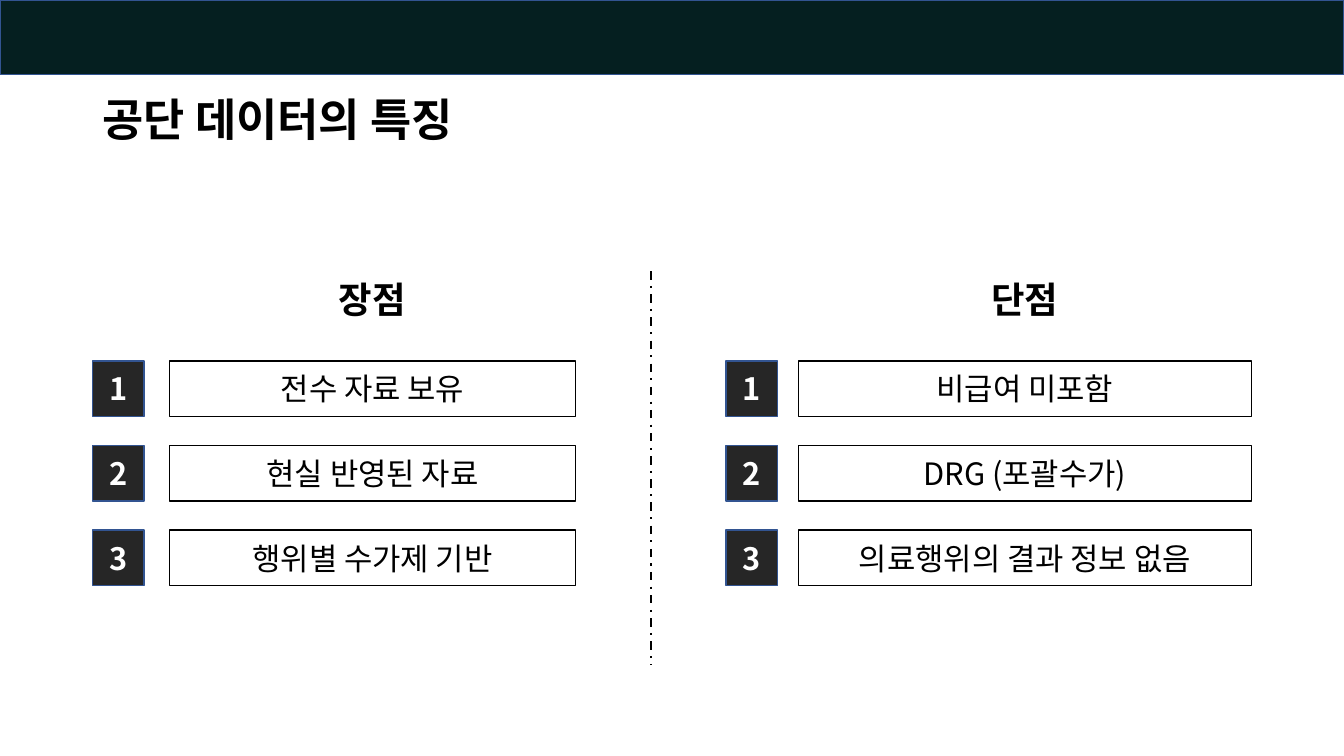
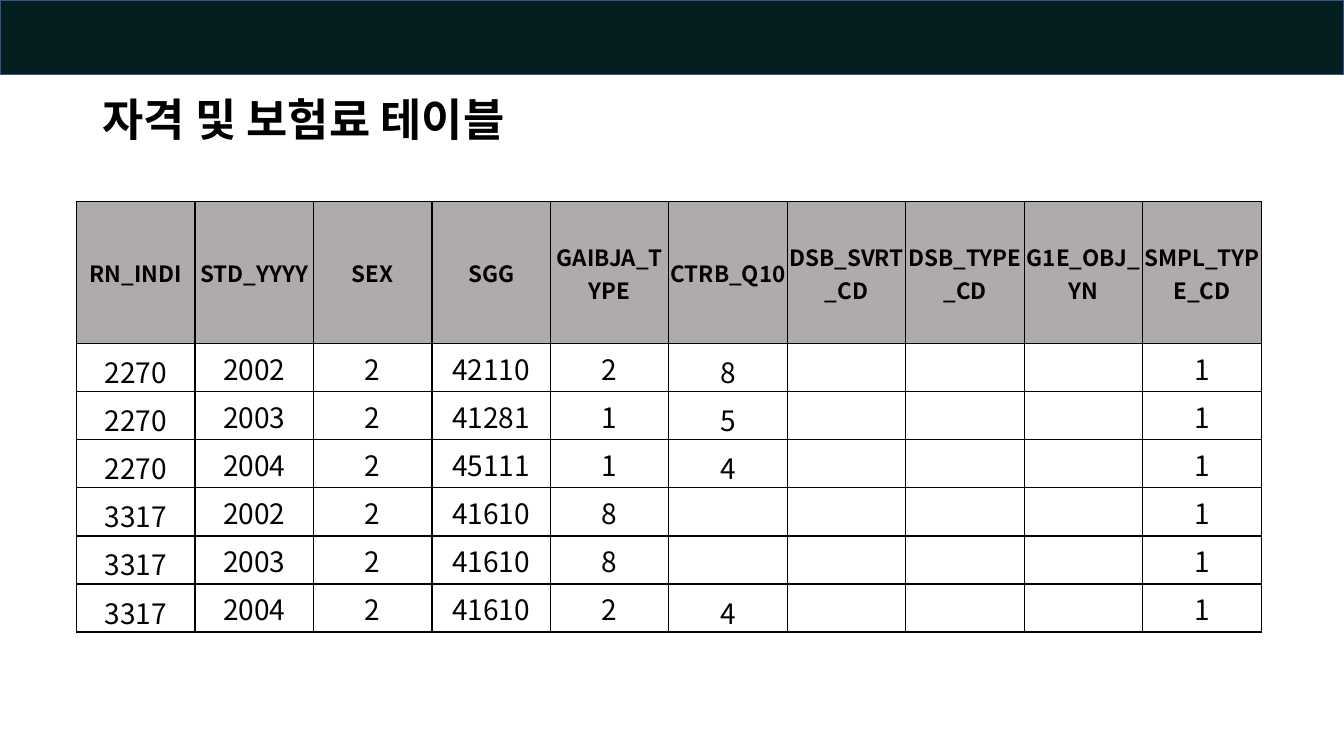
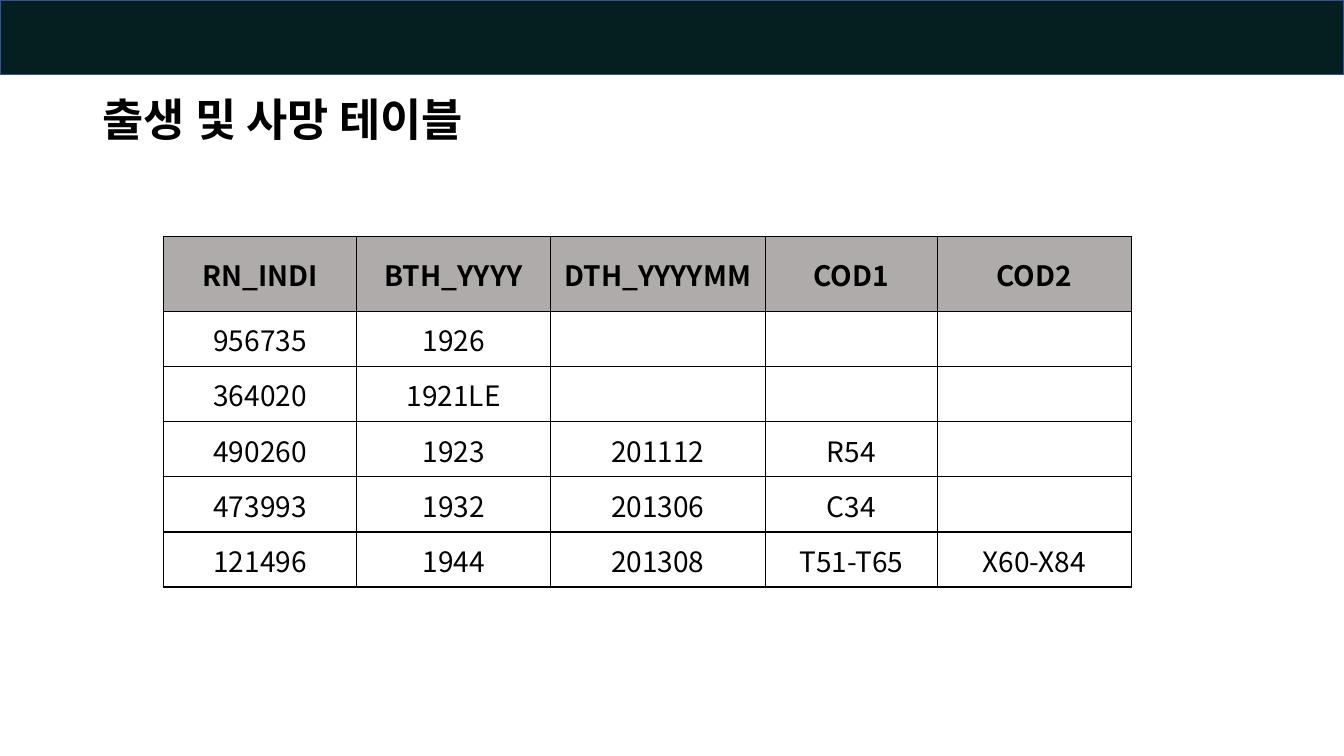
from dataclasses import dataclass
from typing import Any

from lxml import etree
from pptx import Presentation
from pptx.dml.color import RGBColor
from pptx.enum.dml import MSO_LINE
from pptx.enum.shapes import MSO_CONNECTOR, MSO_SHAPE
from pptx.enum.text import MSO_ANCHOR, PP_ALIGN
from pptx.oxml.ns import qn
from pptx.util import Inches, Pt

RECTANGLE = MSO_SHAPE.RECTANGLE
STRAIGHT = MSO_CONNECTOR.STRAIGHT
DASH_DOT = MSO_LINE.DASH_DOT
LEFT, CENTER = PP_ALIGN.LEFT, PP_ALIGN.CENTER
MIDDLE, BOTTOM = MSO_ANCHOR.MIDDLE, MSO_ANCHOR.BOTTOM

SLIDE_WIDTH, SLIDE_HEIGHT = 13.33, 7.5
BLANK_LAYOUT = 6
FONT = "Noto Sans CJK KR"
COLORS = {
    "band": "051F20",
    "outline": "325491",
    "badge": "262626",
    "header": "AFABAB",
    "ink": "000000",
    "paper": "FFFFFF",
}
CELL_MARGINS = {"margin_left": Inches(0.01), "margin_right": Inches(0.01),
                "margin_top": Inches(0.01), "margin_bottom": 0}

# Grid of the comparison slide
ROW_TOP, ROW_STEP, ROW_HEIGHT = 3.58, 0.84, 0.55
HEADING_TOP, DIVIDER_X, DIVIDER_BOTTOM = 2.69, 6.46, 6.6
BADGE_WIDTH = 0.51


@dataclass(frozen=True)
class Box:
    left: float
    top: float
    width: float
    height: float

    def lengths(self) -> tuple[int, ...]:
        return tuple(Inches(n) for n in (self.left, self.top, self.width, self.height))


@dataclass(frozen=True)
class TextStyle:
    size: float
    bold: bool = False
    color: str = "ink"
    align: Any = CENTER
    spacing: float = 1.0


@dataclass(frozen=True)
class Comparison:
    heading: str
    badge_left: float
    box_left: float
    box_width: float
    items: tuple[str, ...]


@dataclass(frozen=True)
class TableData:
    title: str
    left: float
    top: float
    columns: tuple[float, ...]
    header_height: float
    row_height: float
    header_size: float
    rows: tuple[str, ...]
    bottom_columns: tuple[int, ...] = ()


TITLE = TextStyle(32, True, align=LEFT, spacing=0.9)
HEADING = TextStyle(26, True)
BADGE = TextStyle(22, True, "paper")
ITEM = TextStyle(22)
CELL_SIZE = 20

COMPARISONS = (
    Comparison("장점", 0.92, 1.68, 4.03,
               ("전수 자료 보유", "현실 반영된 자료", "행위별 수가제 기반")),
    Comparison("단점", 7.2, 7.92, 4.49,
               ("비급여 미포함", "DRG (포괄수가)", "의료행위의 결과 정보 없음")),
)

# Cells of a row are separated by commas
TABLES = (
    TableData(
        "자격 및 보험료 테이블", 0.76, 2, (11.75 / 10,) * 10, 1.41, 0.477, 16,
        ("RN_INDI,STD_YYYY,SEX,SGG,GAIBJA_TYPE,CTRB_Q10,"
         "DSB_SVRT_CD,DSB_TYPE_CD,G1E_OBJ_YN,SMPL_TYPE_CD",
         "2270,2002,2,42110,2,8,,,,1",
         "2270,2003,2,41281,1,5,,,,1",
         "2270,2004,2,45111,1,4,,,,1",
         "3317,2002,2,41610,8,,,,,1",
         "3317,2003,2,41610,8,,,,,1",
         "3317,2004,2,41610,2,4,,,,1"),
        bottom_columns=(0, 5)),
    TableData(
        "출생 및 사망 테이블", 1.62, 2.35, (1.92, 1.92, 2.13, 1.71, 1.92), 0.74, 0.547, 20,
        ("RN_INDI,BTH_YYYY,DTH_YYYYMM,COD1,COD2",
         "956735,1926,,,",
         "364020,1921LE,,,",
         "490260,1923,201112,R54,",
         "473993,1932,201306,C34,",
         "121496,1944,201308,T51-T65,X60-X84")),
)


def rgb(name: str) -> RGBColor:
    return RGBColor.from_string(COLORS[name])


def apply(target: Any, values: dict[str, Any]) -> None:
    for name, value in values.items():
        setattr(target, name, value)


def write(frame: Any, text: str, style: TextStyle) -> None:
    paragraph = frame.paragraphs[0]
    apply(paragraph, {"alignment": style.align, "line_spacing": style.spacing})
    run = paragraph.add_run()
    run.text = text
    apply(run.font, {"size": Pt(style.size), "bold": style.bold, "name": FONT})
    run.font.color.rgb = rgb(style.color)
    # Hangul uses the East Asian font slot
    etree.SubElement(run.font._element, qn("a:ea"), typeface=FONT)


def add_rectangle(slide: Any, box: Box, fill: str | None, line: str) -> Any:
    shape = slide.shapes.add_shape(RECTANGLE, *box.lengths())
    shape.shadow.inherit = False
    if fill:
        shape.fill.solid()
        shape.fill.fore_color.rgb = rgb(fill)
    else:
        shape.fill.background()
    shape.line.color.rgb = rgb(line)
    shape.line.width = Pt(1)
    shape.text_frame.vertical_anchor = MIDDLE
    return shape


def add_text(slide: Any, box: Box, text: str, style: TextStyle) -> None:
    frame = slide.shapes.add_textbox(*box.lengths()).text_frame
    apply(frame, {"word_wrap": True, "vertical_anchor": MIDDLE})
    write(frame, text, style)


def add_slide(presentation: Any, title: str) -> Any:
    """Add a slide with the shared band and title."""
    slide = presentation.slides.add_slide(presentation.slide_layouts[BLANK_LAYOUT])
    add_rectangle(slide, Box(0, 0, SLIDE_WIDTH, 0.74), "band", "outline")
    add_text(slide, Box(0.92, 0.9, 11.5, 0.61), title, TITLE)
    return slide


def add_divider(slide: Any) -> None:
    x = Inches(DIVIDER_X)
    divider = slide.shapes.add_connector(
        STRAIGHT, x, Inches(HEADING_TOP), x, Inches(DIVIDER_BOTTOM))
    divider.line.color.rgb = rgb("ink")
    apply(divider.line, {"width": Pt(1.5), "dash_style": DASH_DOT})
    etree.SubElement(divider.element.spPr, qn("a:effectLst"))


def add_comparison(slide: Any, side: Comparison) -> None:
    add_text(slide, Box(side.box_left, HEADING_TOP, side.box_width, ROW_HEIGHT),
             side.heading, HEADING)
    for index, item in enumerate(side.items):
        top = ROW_TOP + index * ROW_STEP
        badge = add_rectangle(slide, Box(side.badge_left, top, BADGE_WIDTH, ROW_HEIGHT),
                              "badge", "outline")
        write(badge.text_frame, str(index + 1), BADGE)
        box = add_rectangle(slide, Box(side.box_left, top, side.box_width, ROW_HEIGHT),
                            None, "ink")
        write(box.text_frame, item, ITEM)


def add_borders(cell: Any) -> None:
    properties = cell._tc.get_or_add_tcPr()
    for edge in ("lnL", "lnR", "lnT", "lnB"):
        line = etree.SubElement(properties, qn(f"a:{edge}"), w=str(Pt(1)))
        fill = etree.SubElement(line, qn("a:solidFill"))
        etree.SubElement(fill, qn("a:srgbClr"), val=COLORS["ink"])


def add_table(slide: Any, data: TableData) -> None:
    row_count = len(data.rows)
    heights = [data.header_height] + [data.row_height] * (row_count - 1)
    box = Box(data.left, data.top, sum(data.columns), sum(heights))
    table = slide.shapes.add_table(row_count, len(data.columns), *box.lengths()).table
    apply(table, {"first_row": False, "horz_banding": False})
    for column, width in zip(table.columns, data.columns):
        column.width = Inches(width)
    for row_index, line in enumerate(data.rows):
        table.rows[row_index].height = Inches(heights[row_index])
        is_header = row_index == 0
        style = TextStyle(data.header_size if is_header else CELL_SIZE, is_header)
        for column_index, text in enumerate(line.split(",")):
            cell = table.cell(row_index, column_index)
            at_bottom = not is_header and column_index in data.bottom_columns
            apply(cell, CELL_MARGINS | {"vertical_anchor": BOTTOM if at_bottom else MIDDLE})
            add_borders(cell)
            if is_header:
                cell.fill.solid()
                cell.fill.fore_color.rgb = rgb("header")
            else:
                cell.fill.background()
            if text:
                write(cell.text_frame, text, style)


def main() -> None:
    presentation = Presentation()
    apply(presentation, {"slide_width": Inches(SLIDE_WIDTH),
                         "slide_height": Inches(SLIDE_HEIGHT)})

    # Strengths and weaknesses
    slide = add_slide(presentation, "공단 데이터의 특징")
    for side in COMPARISONS:
        add_comparison(slide, side)
    add_divider(slide)

    # Data tables
    for data in TABLES:
        add_table(add_slide(presentation, data.title), data)

    presentation.save("out.pptx")


if __name__ == "__main__":
    main()
